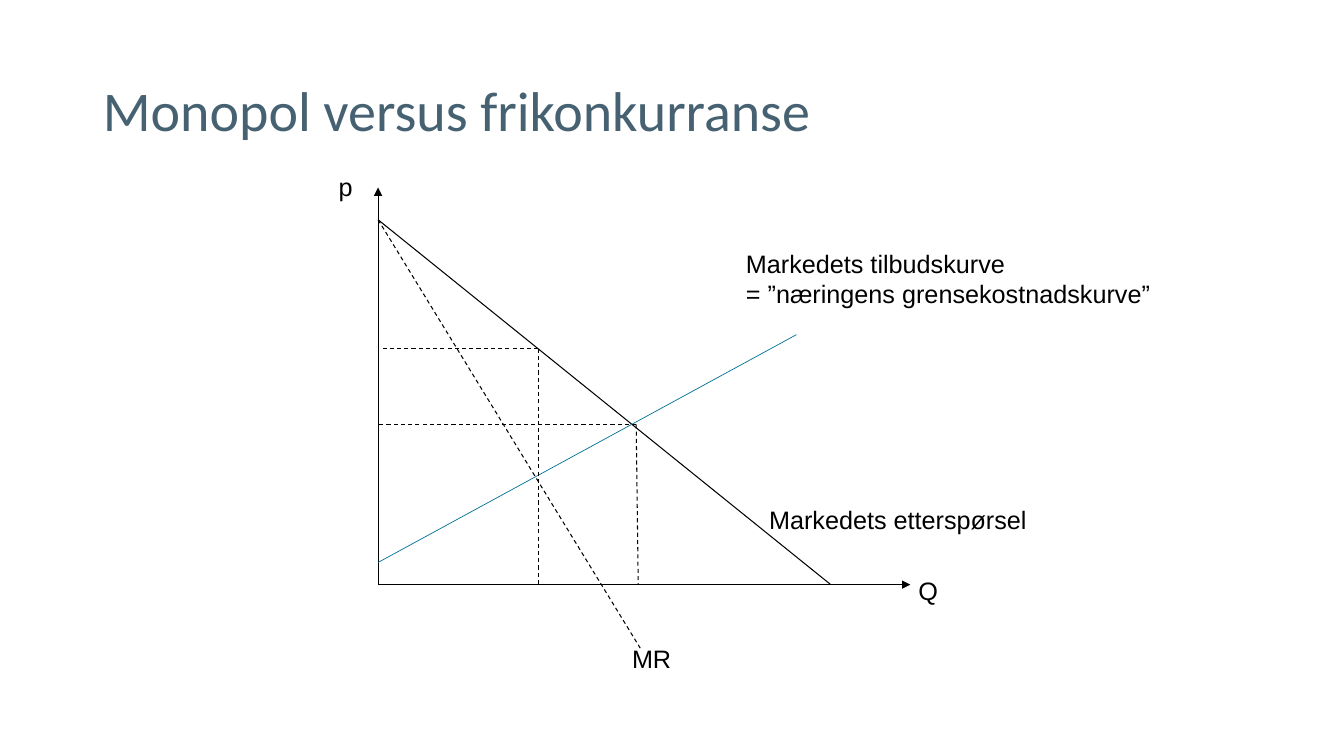
import pptx
import pptx.util
import pptx.dml.color
import pptx.enum.dml
import pptx.enum.shapes
import pptx.enum.text
import pptx.oxml
import pptx.oxml.ns

PX = 9144  # EMU per px, 100 px to the inch
COLORS = {"title": "466171", "ink": "000000", "supply": "007396"}


def px(n):
    return pptx.util.Emu(n * PX)


def add_run(p, text, font, size, color):
    r = p.add_run()
    r.text = text
    r.font.name = font
    r.font.size = pptx.util.Pt(size)
    r.font.color.rgb = pptx.dml.color.RGBColor.from_string(COLORS[color])


def add_line(s, start, end, color="ink", width=0.75, dashed=False, arrow=False):
    line = s.shapes.add_connector(
        pptx.enum.shapes.MSO_CONNECTOR.STRAIGHT, *map(px, start + end))
    line.line.color.rgb = pptx.dml.color.RGBColor.from_string(COLORS[color])
    line.line.width = pptx.util.Pt(width)
    if dashed:
        line.line.dash_style = pptx.enum.dml.MSO_LINE.DASH
    if arrow:
        head = pptx.oxml.parse_xml(
            f'<a:tailEnd {pptx.oxml.ns.nsdecls("a")} type="triangle"/>')
        line.line._get_or_add_ln().append(head)
    line._element.spPr.append(
        pptx.oxml.parse_xml(f'<a:effectLst {pptx.oxml.ns.nsdecls("a")}/>'))


def add_label(s, left, top, width, height, *texts):
    tf = s.shapes.add_textbox(*map(px, (left, top, width, height))).text_frame
    tf.word_wrap = False
    tf.auto_size = pptx.enum.text.MSO_AUTO_SIZE.SHAPE_TO_FIT_TEXT
    for i, text in enumerate(texts):
        p = tf.add_paragraph() if i else tf.paragraphs[0]
        add_run(p, text, "Arial", 18, "ink")


def add_title(s, left, top, width, height, text):
    sp = s.shapes.title
    sp.left, sp.top, sp.width, sp.height = map(px, (left, top, width, height))
    tf = sp.text_frame
    tf.vertical_anchor = pptx.enum.text.MSO_ANCHOR.MIDDLE
    p = tf.paragraphs[0]
    p.alignment = pptx.enum.text.PP_ALIGN.LEFT
    p.line_spacing = 0.9
    add_run(p, text, "Calibri", 40, "title")


def add_market_diagram(s, left, top, width, height):
    bottom = top + height

    def at(quantity, price):
        return left + quantity, bottom - price

    # Axes
    add_line(s, at(0, 0), at(0, height), arrow=True)
    add_line(s, at(0, 0), at(width, 0), arrow=True)

    # Demand, marginal revenue and supply
    add_line(s, at(0, 362), at(449, 0))
    add_line(s, at(0, 362), at(260, -63), dashed=True)
    add_line(s, at(0, 22), at(415, 248), color="supply", width=0.5)

    # Guides for free competition and monopoly: quantity, price, foot on Q axis
    for quantity, price, foot in ((256, 159, 258), (159, 234, 159)):
        add_line(s, at(quantity, price), at(foot, 0), dashed=True)
        add_line(s, at(quantity, price), at(0, price), dashed=True)

    # Labels
    add_label(s, *at(526, 14), 40, 40, "Q")
    add_label(s, *at(-49, 415), 34, 40, "p")
    add_label(s, *at(242, -53), 59, 40, "MR")
    add_label(s, *at(378, 85), 276, 40, "Markedets etterspørsel")
    add_label(s, *at(355, 339), 421, 70, "Markedets tilbudskurve",
              "= ”næringens grensekostnadskurve”")


def main():
    prs = pptx.Presentation()
    prs.slide_width, prs.slide_height = px(1333), px(750)
    s = prs.slides.add_slide(prs.slide_layouts[5])
    add_title(s, 92, 40, 1150, 145, "Monopol versus frikonkurranse")
    add_market_diagram(s, 375, 186, 528, 394)
    prs.save("out.pptx")


if __name__ == "__main__":
    main()
